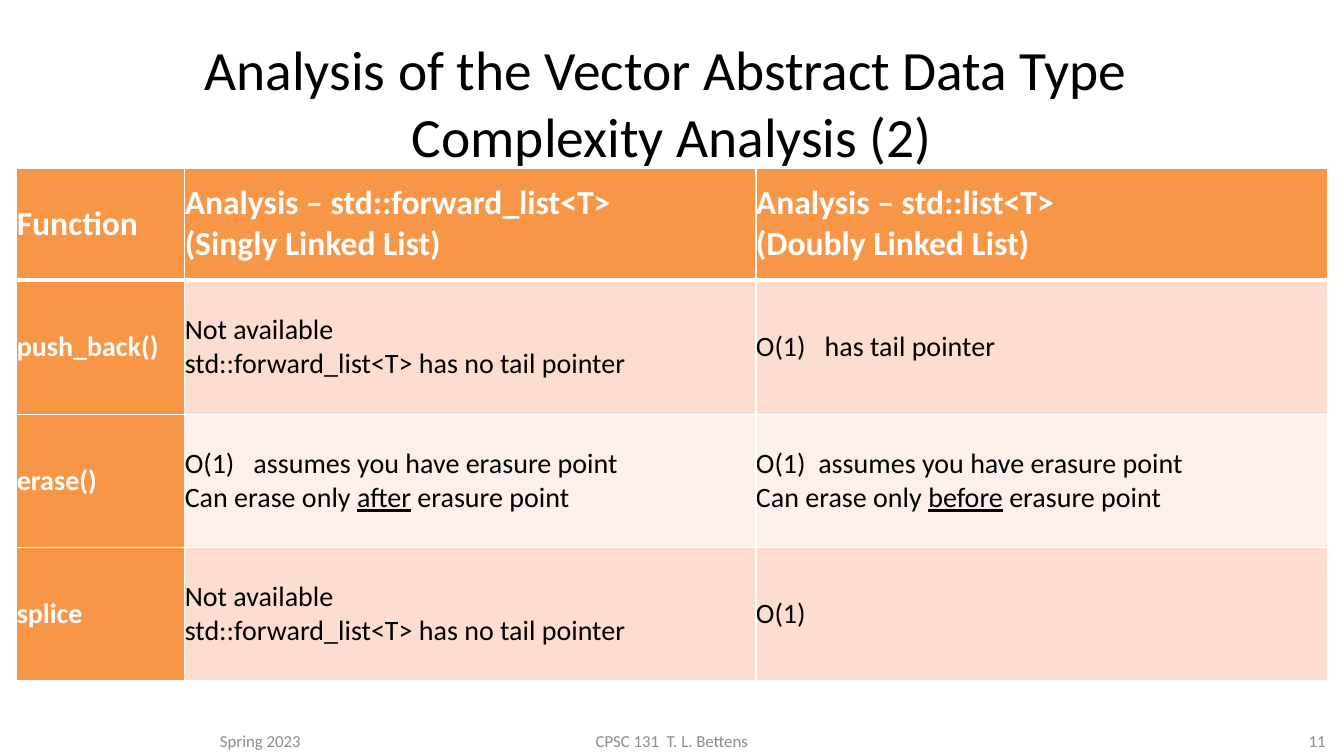
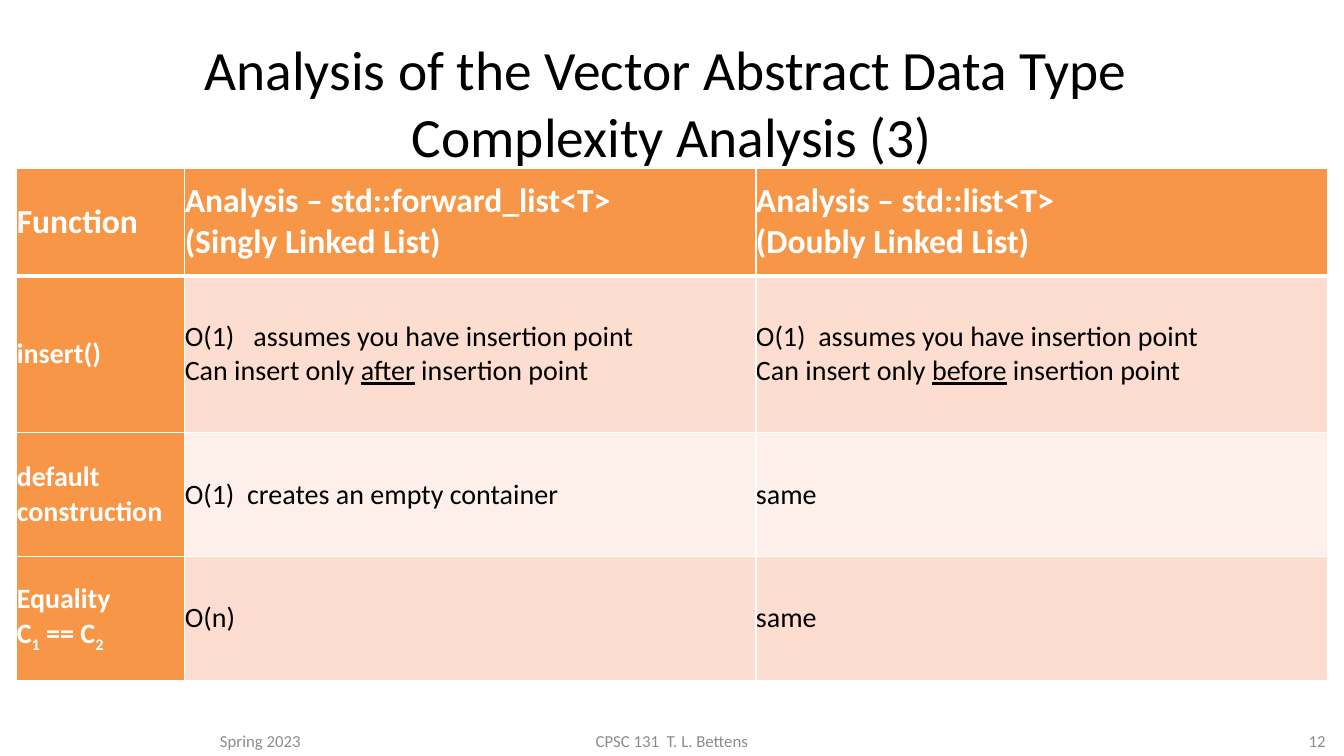
import pptx
import pptx.util
from lxml import etree
from pptx.dml.color import RGBColor
from pptx.enum.text import MSO_ANCHOR, MSO_AUTO_SIZE, PP_ALIGN
from pptx.oxml.ns import qn
from pptx.util import Pt

FONT = "Calibri"
WHITE = RGBColor(0xFF, 0xFF, 0xFF)
BLACK = RGBColor(0x00, 0x00, 0x00)
GRAY = RGBColor(0x8C, 0x8C, 0x8C)
ORANGE = RGBColor(0xF7, 0x96, 0x46)
BANDS = (RGBColor(0xFC, 0xDD, 0xCF), RGBColor(0xFD, 0xEF, 0xE9))

TITLE = "Analysis of the Vector Abstract Data Type \vComplexity Analysis ({})"
COLUMN_WIDTHS = (120, 408, 408)
TITLE_ONLY = 5
UNDERLINE, SUBSCRIPT = "underline", "subscript"

# A cell is a list of paragraphs; a paragraph is a string or a list of
# pieces, where a piece is a string or a (text, style) pair.
HEADER = (
    ["Function"],
    ["Analysis – std::forward_list<T>", "(Singly Linked List)"],
    ["Analysis – std::list<T>", "(Doubly Linked List)"],
)
NO_TAIL = ["Not available", "std::forward_list<T> has no tail pointer"]


def position_note(gap, verb, noun, side):
    """Cell for an operation that needs a known position."""
    return [
        f"O(1){gap}assumes you have {noun} point",
        [f"Can {verb} only ", (side, UNDERLINE), f" {noun} point"],
    ]


def position_row(verb, noun):
    return (
        [f"{verb}()"],
        position_note("   ", verb, noun, "after"),
        position_note("  ", verb, noun, "before"),
    )


SLIDES = (
    {
        "part": 2,
        "number": 11,
        "heights": (80, 96, 95, 95),
        "rows": (
            (["push_back()"], NO_TAIL, ["O(1)   has tail pointer"]),
            position_row("erase", "erasure"),
            (["splice"], NO_TAIL, ["O(1)"]),
        ),
    },
    {
        "part": 3,
        "number": 12,
        "heights": (77, 112, 88.5, 88.5),
        "rows": (
            position_row("insert", "insertion"),
            (["default construction"],
             ["O(1)  creates an empty container"], ["same"]),
            (["Equality", ["C", ("1", SUBSCRIPT), " == C", ("2", SUBSCRIPT)]],
             ["O(n)"], ["same"]),
        ),
    },
)


def format_paragraph(paragraph, size, color, bold=False, alignment=PP_ALIGN.LEFT):
    paragraph.alignment = alignment
    font = paragraph.font
    font.name = FONT
    font.size = Pt(size)
    font.bold = bold
    font.color.rgb = color


def add_title(slide, text):
    title = slide.shapes.title
    title.left, title.top, title.width, title.height = Pt(12), Pt(21.6), Pt(936), Pt(90)
    frame = title.text_frame
    frame.text = text
    frame.auto_size = MSO_AUTO_SIZE.NONE
    frame.vertical_anchor = MSO_ANCHOR.TOP
    format_paragraph(frame.paragraphs[0], 39.6, BLACK, alignment=PP_ALIGN.CENTER)


def add_footer(slide, number):
    parts = (
        (150, 168, "Spring 2023", PP_ALIGN.LEFT),
        (318, 324, "CPSC 131  T. L. Bettens", PP_ALIGN.CENTER),
        (738, 216, str(number), PP_ALIGN.RIGHT),
    )
    for left, width, text, alignment in parts:
        box = slide.shapes.add_textbox(Pt(left), Pt(500.4), Pt(width), Pt(39.6))
        frame = box.text_frame
        frame.word_wrap = True
        frame.vertical_anchor = MSO_ANCHOR.BOTTOM
        frame.text = text
        format_paragraph(frame.paragraphs[0], 12, GRAY, alignment=alignment)


def add_border(cell, side, width):
    properties = cell._tc.get_or_add_tcPr()
    line = etree.SubElement(properties, qn(f"a:ln{side}"), w=str(Pt(width)))
    fill = etree.SubElement(line, qn("a:solidFill"))
    etree.SubElement(fill, qn("a:srgbClr"), val=str(WHITE))


def add_pieces(paragraph, pieces):
    for piece in [pieces] if isinstance(pieces, str) else pieces:
        text, style = (piece, None) if isinstance(piece, str) else piece
        run = paragraph.add_run()
        run.text = text
        if style == UNDERLINE:
            run.font.underline = True
        elif style == SUBSCRIPT:
            run._r.get_or_add_rPr().set("baseline", "-25000")


def fill_cell(cell, content, row, column):
    is_heading = row == 0 or column == 0
    cell.margin_left = cell.margin_right = cell.margin_top = cell.margin_bottom = 0
    cell.vertical_anchor = MSO_ANCHOR.MIDDLE
    # The rule under the header row is heavier than the others.
    widths = {"L": 1, "R": 1, "T": 3 if row == 1 else 1, "B": 3 if row == 0 else 1}
    for side, width in widths.items():
        add_border(cell, side, width)
    cell.fill.solid()
    cell.fill.fore_color.rgb = ORANGE if is_heading else BANDS[(row - 1) % 2]

    frame = cell.text_frame
    for index, pieces in enumerate(content):
        paragraph = frame.add_paragraph() if index else frame.paragraphs[0]
        add_pieces(paragraph, pieces)
        format_paragraph(paragraph, 20 if row else 24,
                         WHITE if is_heading else BLACK, bold=is_heading)


def add_analysis_table(slide, rows, heights):
    table = slide.shapes.add_table(
        len(rows), len(COLUMN_WIDTHS), Pt(12), Pt(120),
        Pt(sum(COLUMN_WIDTHS)), Pt(sum(heights)),
    ).table
    table.first_col = True
    for column, width in zip(table.columns, COLUMN_WIDTHS):
        column.width = Pt(width)
    for row, (contents, height) in enumerate(zip(rows, heights)):
        table.rows[row].height = Pt(height)
        for column, content in enumerate(contents):
            fill_cell(table.cell(row, column), content, row, column)


def main():
    presentation = pptx.Presentation()
    presentation.slide_width, presentation.slide_height = Pt(960), Pt(540)
    for content in SLIDES:
        slide = presentation.slides.add_slide(presentation.slide_layouts[TITLE_ONLY])
        add_footer(slide, content["number"])
        add_title(slide, TITLE.format(content["part"]))
        add_analysis_table(slide, (HEADER, *content["rows"]), content["heights"])
    presentation.save("out.pptx")


if __name__ == "__main__":
    main()
